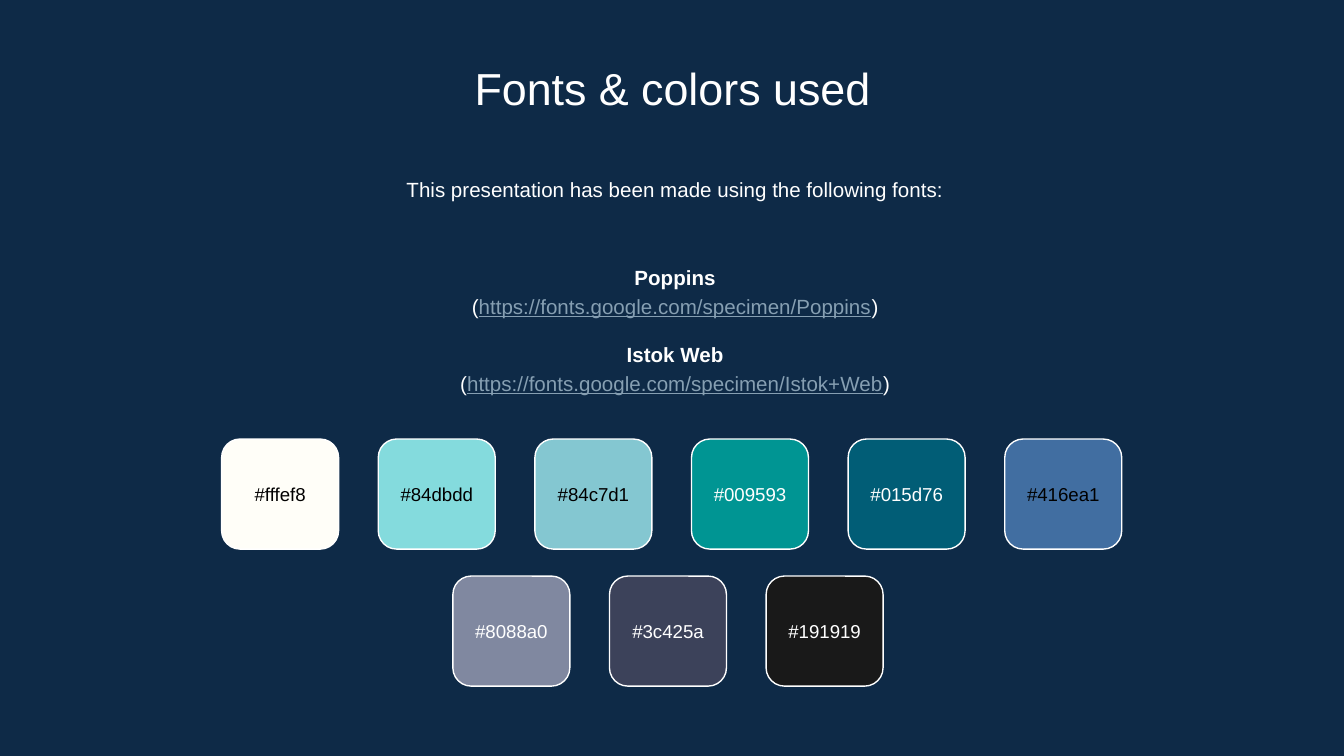
from pptx import Presentation
from pptx.dml.color import RGBColor
from pptx.enum.shapes import MSO_SHAPE
from pptx.enum.text import MSO_ANCHOR, PP_ALIGN
from pptx.util import Cm, Pt

COLORS = {
    "background": "0E2A47",
    "light": "FFFFFF",
    "dark": "000000",
    "link": "869FB2",
}
FONT = "Arial"
INSET = 0.25

FONTS_USED = [
    ("Poppins", "https://fonts.google.com/specimen/Poppins"),
    ("Istok Web", "https://fonts.google.com/specimen/Istok+Web"),
]
UPPER_SWATCHES = [
    ("#fffef8", "dark"), ("#84dbdd", "dark"), ("#84c7d1", "dark"),
    ("#009593", "light"), ("#015d76", "light"), ("#416ea1", "dark"),
]
LOWER_SWATCHES = [("#8088a0", "light"), ("#3c425a", "light"), ("#191919", "light")]
SWATCH_WIDTH, SWATCH_HEIGHT, SWATCH_PITCH = 2.21, 2.08, 2.96


def rgb(name):
    return RGBColor.from_string(COLORS[name])


def prepare_frame(frame, anchor):
    frame.word_wrap = True
    frame.vertical_anchor = anchor
    frame.margin_left = frame.margin_right = Cm(INSET)
    frame.margin_top = frame.margin_bottom = Cm(INSET)
    return frame


def add_frame(slide, box, anchor=MSO_ANCHOR.TOP):
    return prepare_frame(slide.shapes.add_textbox(*map(Cm, box)).text_frame, anchor)


def style(paragraph, size, color="light", bold=False, spacing=None):
    paragraph.alignment = PP_ALIGN.CENTER
    paragraph.line_spacing = spacing
    font = paragraph.font
    font.name, font.size, font.bold = FONT, Pt(size), bold
    font.color.rgb = rgb(color)


def add_line(slide, box, text, size, spacing=None):
    """Place a single centred line of text in its own box."""
    paragraph = add_frame(slide, box).paragraphs[0]
    paragraph.text = text
    style(paragraph, size, spacing=spacing)


def add_font_list(slide, box):
    frame = add_frame(slide, box, MSO_ANCHOR.MIDDLE)
    for index, (family, address) in enumerate(FONTS_USED):
        heading = frame.add_paragraph() if index else frame.paragraphs[0]
        heading.text = family
        style(heading, 11, bold=True, spacing=1.15)
        if index:
            heading.space_before = Pt(11)

        source = frame.add_paragraph()
        style(source, 11, spacing=1.15)
        for part in ("(", address, ")"):
            run = source.add_run()
            run.text = part
            if part == address:
                run.font.underline = True
                run.font.color.rgb = rgb("link")


def add_swatch(slide, box, code, label_color):
    swatch = slide.shapes.add_shape(MSO_SHAPE.ROUNDED_RECTANGLE, *map(Cm, box))
    swatch.shadow.inherit = False
    swatch.fill.solid()
    swatch.fill.fore_color.rgb = RGBColor.from_string(code[1:].upper())
    swatch.line.color.rgb = rgb("light")
    swatch.line.width = Pt(0.75)
    label = prepare_frame(swatch.text_frame, MSO_ANCHOR.MIDDLE).paragraphs[0]
    label.text = code
    style(label, 10, label_color)


def add_swatch_row(slide, left, top, swatches):
    for column, (code, label_color) in enumerate(swatches):
        box = (left + column * SWATCH_PITCH, top, SWATCH_WIDTH, SWATCH_HEIGHT)
        add_swatch(slide, box, code, label_color)


def main():
    presentation = Presentation()
    presentation.slide_width, presentation.slide_height = Cm(25.4), Cm(14.29)
    slide = presentation.slides.add_slide(presentation.slide_layouts[6])
    slide.background.fill.solid()
    slide.background.fill.fore_color.rgb = rgb("background")

    add_line(slide, (2.92, 0.89, 19.58, 1.35), "Fonts & colors used", 24)
    add_line(slide, (2.97, 3.02, 19.58, 1.22),
             "This presentation has been made using the following fonts:", 11, 1.15)
    add_font_list(slide, (2.97, 4.47, 19.58, 3.48))
    add_swatch_row(slide, 4.19, 8.3, UPPER_SWATCHES)
    add_swatch_row(slide, 8.56, 10.89, LOWER_SWATCHES)
    presentation.save("out.pptx")


if __name__ == "__main__":
    main()
